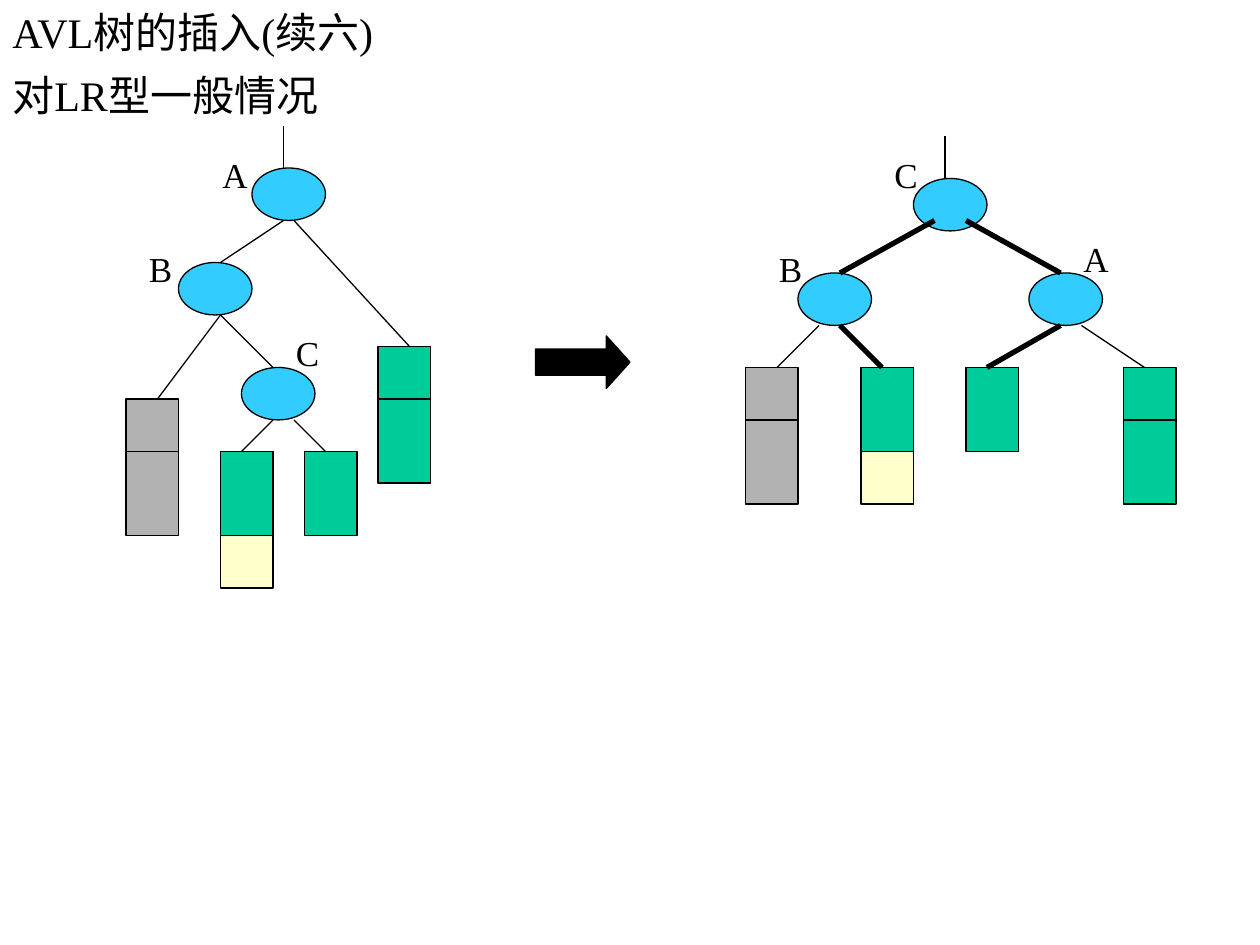
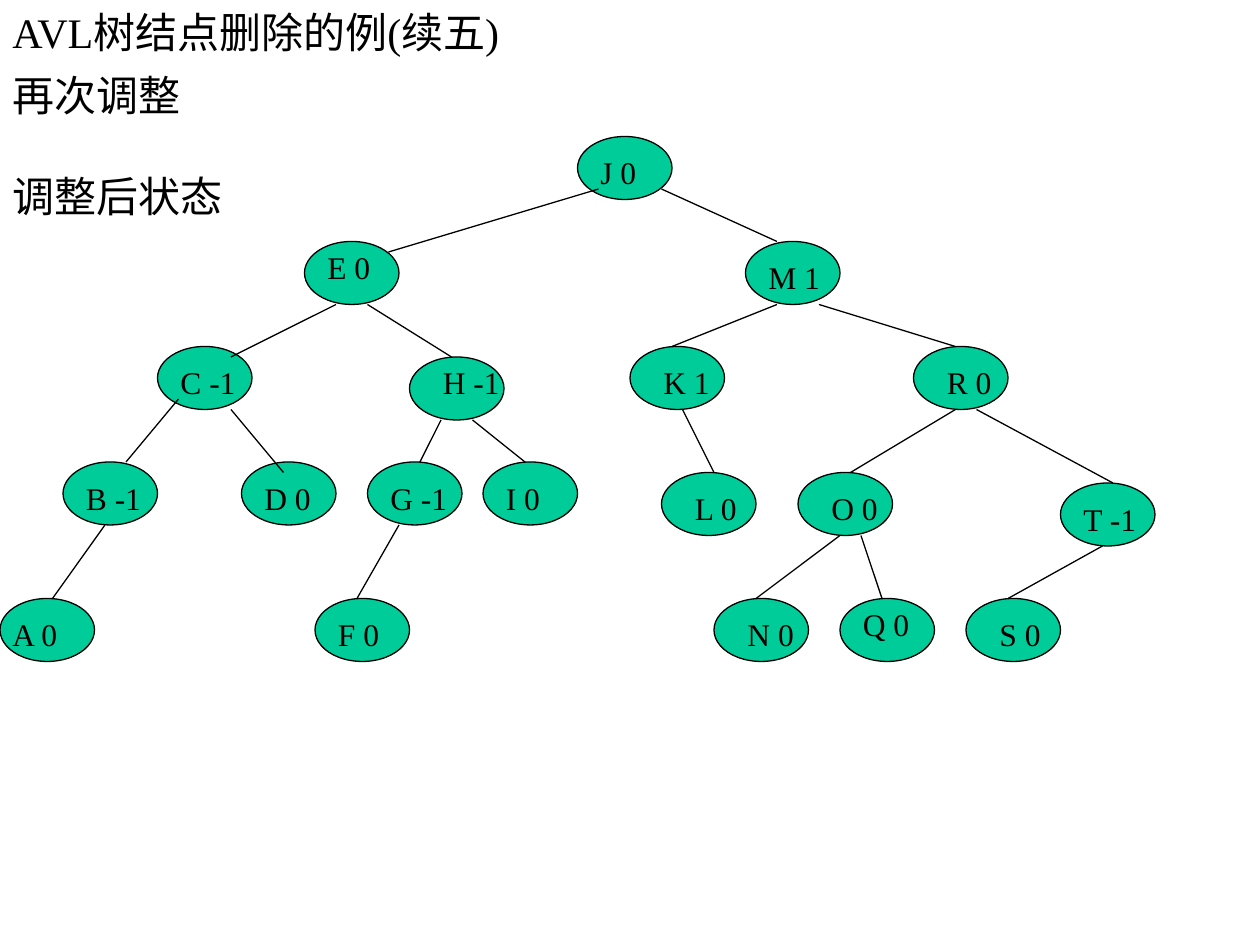
import pptx
import pptx.dml.color
import pptx.enum.shapes
import pptx.enum.text
import pptx.oxml.ns
import pptx.util
from lxml import etree
from pptx.util import Inches, Pt

FONT = "Times New Roman"
BLACK, BLUE, GREEN, GRAY, YELLOW = "000000", "33CCFF", "00CC99", "B2B2B2", "FFFFCC"
THIN, THICK = 0.75, 3
GRID = 12  # all drawing coordinates are twelfths of an inch

# Rotation slide: nodes are (letter, position, label position)
ROTATION_TITLE = "AVL树的插入(续六)"
ROTATION_BODY = ["对LR型一般情况"]
ROTATION_NODES = [
    ("A", (24, 16), (20, 14)), ("B", (17, 25), (13, 23)), ("C", (23, 35), (27, 31)),
    ("C", (87, 17), (84, 14)), ("B", (76, 26), (73, 23)), ("A", (98, 26), (102, 22)),
]
# Subtrees are (left, top, blocks from top down as colour and height)
SUBTREES = [
    (12, 38, [(GRAY, 5), (GRAY, 8)]),
    (21, 43, [(GREEN, 8), (YELLOW, 5)]),
    (29, 43, [(GREEN, 8)]),
    (36, 33, [(GREEN, 5), (GREEN, 8)]),
    (71, 35, [(GRAY, 5), (GRAY, 8)]),
    (82, 35, [(GREEN, 8), (YELLOW, 5)]),
    (92, 35, [(GREEN, 8)]),
    (107, 35, [(GREEN, 5), (GREEN, 8)]),
]
# Edges are (x1, y1, x2, y2)
ROTATION_EDGES = {
    THIN: [
        (27, 12, 27, 16), (27, 21, 21, 25), (28, 21, 39, 33), (21, 30, 15, 38),
        (21, 30, 26, 35), (26, 40, 23, 43), (28, 40, 31, 43),
        (90, 13, 90, 17), (78, 31, 74, 35), (103, 31, 109, 35),
    ],
    THICK: [
        (89, 21, 80, 26), (92, 21, 101, 26), (80, 31, 84, 35), (101, 31, 94, 35),
    ],
}
ROTATION_ARROW = (51, 32, 9, 5)

# Deletion slide: nodes are (text, position, label offset)
DELETION_TITLE = "AVL树结点删除的例(续五)"
DELETION_BODY = ["再次调整", "调整后状态"]
DELETION_NODES = [
    ("J 0", (55, 13), (1, 1)),
    ("E 0", (29, 23), (1, 0)), ("M 1", (71, 23), (1, 1)),
    ("C -1", (15, 33), (1, 1)), ("H -1", (39, 34), (2, 0)),
    ("K 1", (60, 33), (2, 1)), ("R 0", (87, 33), (2, 1)),
    ("B -1", (6, 44), (1, 1)), ("D 0", (23, 44), (1, 1)),
    ("G -1", (35, 44), (1, 1)), ("I 0", (46, 44), (1, 1)),
    ("L 0", (63, 45), (2, 1)), ("O 0", (76, 45), (2, 1)), ("T -1", (101, 46), (1, 1)),
    ("A 0", (0, 57), (0, 1)), ("F 0", (30, 57), (1, 1)),
    ("N 0", (68, 57), (2, 1)), ("Q 0", (80, 57), (1, 0)), ("S 0", (92, 57), (2, 1)),
]
DELETION_EDGES = [
    (57, 18, 37, 24), (63, 18, 74, 23), (32, 29, 22, 34), (35, 29, 43, 34),
    (74, 29, 64, 33), (78, 29, 91, 33), (17, 38, 12, 44), (22, 39, 27, 45),
    (42, 40, 40, 44), (45, 40, 50, 44), (65, 39, 68, 45), (91, 39, 81, 45),
    (93, 39, 106, 46), (10, 50, 5, 57), (38, 50, 34, 57), (80, 51, 72, 57),
    (82, 51, 84, 57), (105, 52, 96, 57),
]


def rgb(code):
    return pptx.dml.color.RGBColor.from_string(code)


def grid(*units):
    return [Inches(unit / GRID) for unit in units]


def add_text(slide, box, lines, size, anchor="TOP", gap=0):
    """Add a text box; gap is the space in points before each later line."""
    frame = slide.shapes.add_textbox(*box).text_frame
    frame.word_wrap = True
    frame.vertical_anchor = getattr(pptx.enum.text.MSO_ANCHOR, anchor)
    for index, line in enumerate(lines):
        paragraph = frame.paragraphs[0] if index == 0 else frame.add_paragraph()
        if index:
            paragraph.space_before = Pt(gap)
        run = paragraph.add_run()
        run.text = line
        for key, value in {"name": FONT, "size": Pt(size)}.items():
            setattr(run.font, key, value)
        run.font.color.rgb = rgb(BLACK)


def add_block(slide, kind, box, color):
    preset = getattr(pptx.enum.shapes.MSO_SHAPE, kind)
    block = slide.shapes.add_shape(preset, *grid(*box))
    block.shadow.inherit = False
    block.fill.solid()
    block.fill.fore_color.rgb = rgb(color)
    block.line.color.rgb = rgb(BLACK)
    block.line.width = Pt(THIN)
    return block


def add_edges(slide, edges, width=THIN):
    for ends in edges:
        edge = slide.shapes.add_connector(
            pptx.enum.shapes.MSO_CONNECTOR.STRAIGHT, *grid(*ends))
        edge.line.color.rgb = rgb(BLACK)
        edge.line.width = Pt(width)
        etree.SubElement(edge._element.spPr, pptx.oxml.ns.qn("a:effectLst"))


def add_label(slide, text, place, width, height, size):
    add_text(slide, (*grid(*place, width), Inches(height)), [text], size)


def new_slide(deck, title, body):
    slide = deck.slides.add_slide(deck.slide_layouts[6])
    add_text(slide, (0, 0, Inches(8.5), Inches(0.5)), [title], 24, "MIDDLE")
    add_text(slide, (0, Inches(0.5), Inches(9.7), Inches(6.67)), body, 24, gap=29)
    return slide


def build_rotation(deck):
    slide = new_slide(deck, ROTATION_TITLE, ROTATION_BODY)
    for letter, place, label in ROTATION_NODES:
        add_block(slide, "OVAL", (*place, 7, 5), BLUE)
        add_label(slide, letter, label, 5, 0.44, 20)
    for left, top, blocks in SUBTREES:
        for color, height in blocks:
            add_block(slide, "RECTANGLE", (left, top, 5, height), color)
            top += height
    for width, edges in ROTATION_EDGES.items():
        add_edges(slide, edges, width)
    arrow = add_block(slide, "RIGHT_ARROW", ROTATION_ARROW, BLACK)
    arrow.adjustments[1] = 0.45


def build_deletion(deck):
    slide = new_slide(deck, DELETION_TITLE, DELETION_BODY)
    for _, place, _ in DELETION_NODES:
        add_block(slide, "OVAL", (*place, 9, 6), GREEN)
    add_edges(slide, DELETION_EDGES)
    for text, (left, top), (right, down) in DELETION_NODES:
        add_label(slide, text, (left + right, top + down), 9, 0.4, 18)


def main():
    deck = pptx.Presentation()
    deck.slide_width, deck.slide_height = Inches(10), Inches(7.5)
    build_rotation(deck)
    build_deletion(deck)
    deck.save("out.pptx")


if __name__ == "__main__":
    main()
